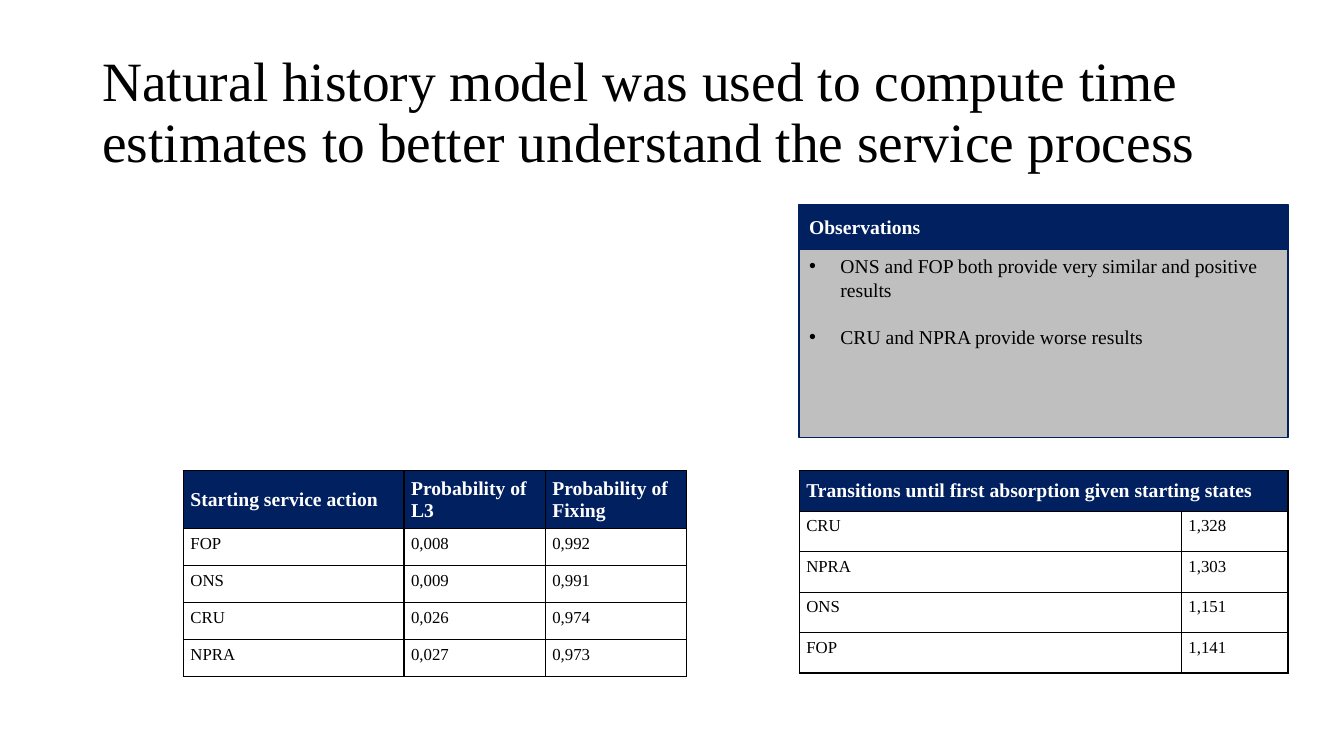
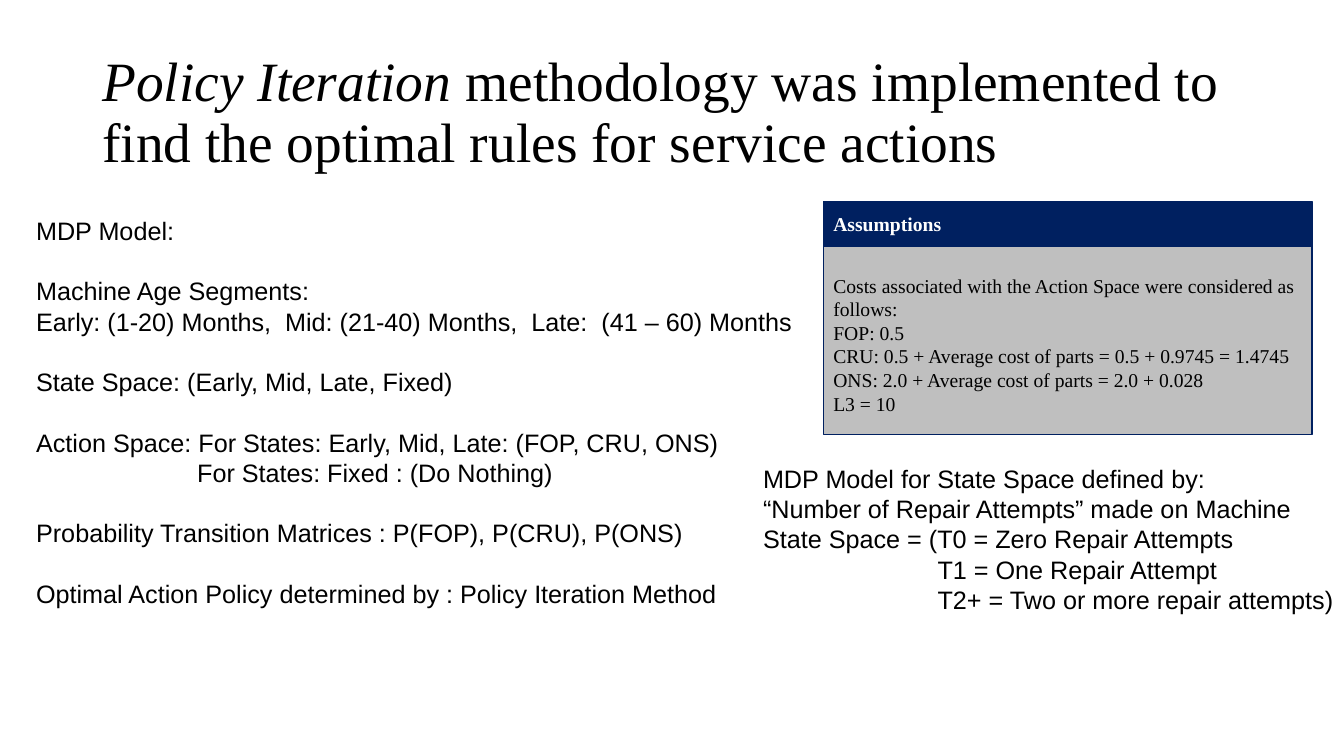
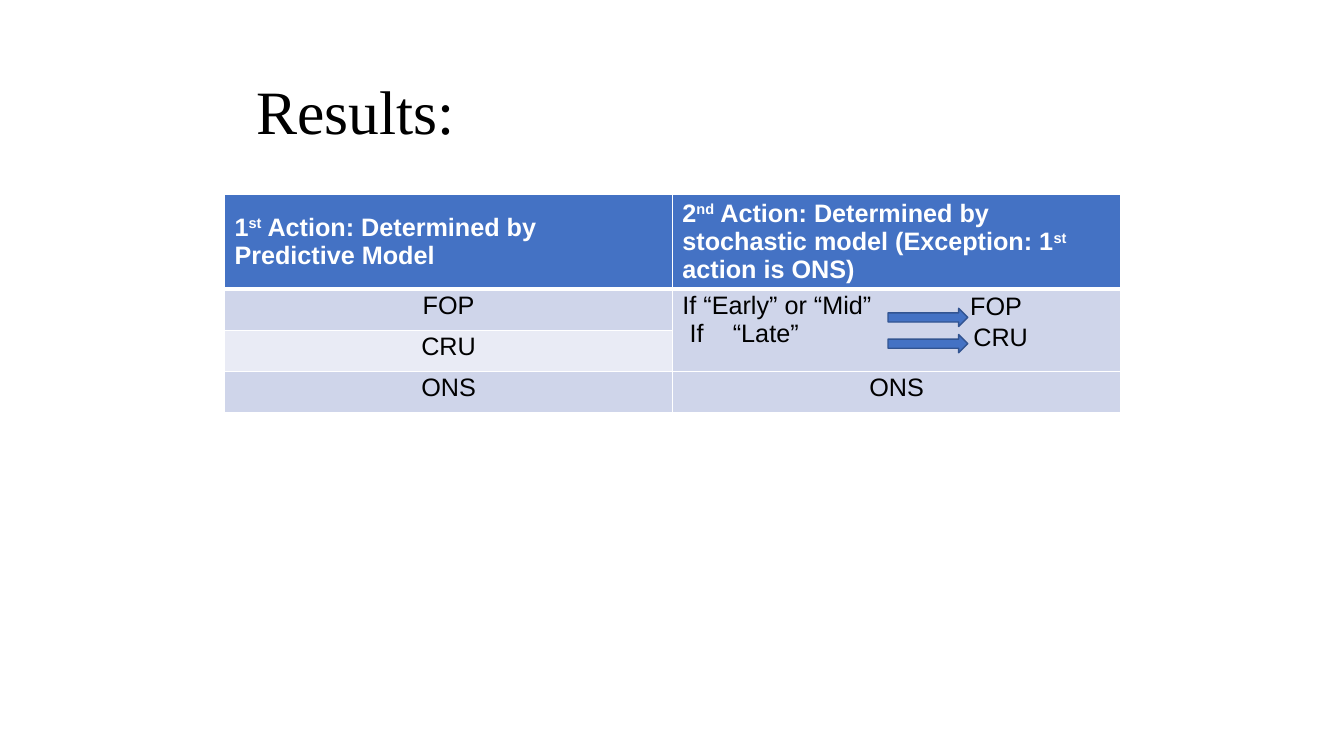
from dataclasses import dataclass, replace

from lxml import etree
from pptx import Presentation
from pptx import util as u
from pptx.dml import color
from pptx.enum import shapes, text
from pptx.oxml import ns

NAVY, GRAY, BLACK, WHITE = "002060", "BFBFBF", "000000", "FFFFFF"
BLUE, BLUE_EDGE, BAND, BAND_LIGHT = "4472C4", "325491", "CFD5EA", "E9EBF5"
LEFT, CENTER = text.PP_ALIGN.LEFT, text.PP_ALIGN.CENTER
TOP, MIDDLE = text.MSO_ANCHOR.TOP, text.MSO_ANCHOR.MIDDLE


@dataclass(frozen=True)
class Style:
    font: str
    size: float
    ink: str = BLACK
    bold: bool = False
    align: int = LEFT
    leading: float = 0


@dataclass(frozen=True)
class Line:
    spans: tuple
    gap: float = 0
    left: float = 0
    first: float = 0
    bullet: str = ""


TITLE = Style("Times New Roman", 39.6, leading=43.2)
RESULT_TITLE = replace(TITLE, size=44, leading=47.5)
PANEL_TEXT = Style("Times New Roman", 14, leading=16.8)
HEADING = Style("Times New Roman", 14, WHITE, True)
FIGURE = Style("Times New Roman", 12)
NOTE = Style("Arial", 18, leading=21.6)
RESULT_HEADING = Style("Arial", 18, WHITE, True)
RESULT = Style("Arial", 18, align=CENTER)
RULE = replace(RESULT, align=LEFT)


def rgb(value):
    return color.RGBColor.from_string(value)


def add_xml(parent, tag, **attributes):
    return etree.SubElement(parent, ns.qn(tag), attributes)


def line(content, **layout):
    spans = ((content, ""),) if isinstance(content, str) else tuple(content)
    return Line(spans, **layout)


def style_paragraph(para, item, style):
    para.alignment = style.align
    if style.leading:
        para.line_spacing = u.Pt(style.leading)
    para.space_before = u.Pt(item.gap)
    props = para._p.get_or_add_pPr()
    props.set("marL", str(u.Cm(item.left)))
    props.set("indent", str(u.Cm(item.first)))
    if item.bullet:
        add_xml(props, "a:buFont", typeface="Arial")
        add_xml(props, "a:buChar", char=item.bullet)


def write(frame, content, style):
    items = content if isinstance(content, list) else [content]
    for index, item in enumerate(items):
        if not isinstance(item, Line):
            item = line(item)
        para = frame.add_paragraph() if index else frame.paragraphs[0]
        for words, accent in item.spans:
            span = para.add_run()
            span.text = words
            span.font.name, span.font.size = style.font, u.Pt(style.size)
            span.font.color.rgb = rgb(style.ink)
            span.font.bold = style.bold
            if accent == "italic":
                span.font.italic = True
            if accent == "super":
                span._r.get_or_add_rPr().set("baseline", "30000")
        style_paragraph(para, item, style)


def add_text(page, left, top, width, height, content, style, anchor=TOP):
    box = page.shapes.add_textbox(*map(u.Cm, (left, top, width, height)))
    box.text_frame.word_wrap = True
    box.text_frame.vertical_anchor = anchor
    box.text_frame.margin_right = 0
    write(box.text_frame, content, style)


def add_title(page, content, style=TITLE):
    add_text(page, 2.33, 1.01, 29.21, 3.68, content, style, MIDDLE)


def add_block(parent, kind, left, top, width, height, fill, edge):
    block = parent.shapes.add_shape(kind, *map(u.Cm, (left, top, width, height)))
    block.shadow.inherit = False
    block.fill.solid()
    block.fill.fore_color.rgb = rgb(fill)
    block.line.color.rgb = rgb(edge)
    block.line.width = u.Pt(1)
    return block


def add_panel(page, left, top, heading, content, inset=0.13):
    width, head, body = 12.32, 1.12, 4.75
    panel = page.shapes.add_group_shape()
    parts = (
        (top + head, body, GRAY, content, PANEL_TEXT, TOP, inset),
        (top, head, NAVY, heading, HEADING, MIDDLE, 0.13),
    )
    for y, height, fill, words, style, anchor, margin in parts:
        block = add_block(panel, shapes.MSO_SHAPE.RECTANGLE, left, y, width, height, fill, NAVY)
        block.text_frame.word_wrap = True
        block.text_frame.vertical_anchor = anchor
        block.text_frame.margin_top = u.Cm(margin)
        write(block.text_frame, words, style)


def add_borders(cell, ink, bottom=1):
    props = cell._tc.get_or_add_tcPr()
    for side, width in (("L", 1), ("R", 1), ("T", 1), ("B", bottom)):
        edge = add_xml(props, f"a:ln{side}", w=str(u.Pt(width)))
        add_xml(add_xml(edge, "a:solidFill"), "a:srgbClr", val=ink)


def add_grid(page, left, top, columns, heights, rows, styles, fills, border,
             margins, rule=1, merge=None):
    size = map(u.Cm, (left, top, sum(columns), sum(heights)))
    grid = page.shapes.add_table(len(rows), len(columns), *size).table
    grid.horz_banding = False
    for column, width in zip(grid.columns, columns):
        column.width = u.Cm(width)
    for row, height in zip(grid.rows, heights):
        row.height = u.Cm(height)
    if merge:
        grid.cell(*merge[0]).merge(grid.cell(*merge[1]))
    for r, row in enumerate(rows):
        for c, content in enumerate(row):
            cell = grid.cell(r, c)
            add_borders(cell, border, 1 if r else rule)
            cell.fill.solid()
            cell.fill.fore_color.rgb = rgb(fills[r][c])
            cell.vertical_anchor = TOP if r else MIDDLE
            cell.margin_left = cell.margin_right = u.Cm(margins[0])
            cell.margin_top = cell.margin_bottom = u.Cm(margins[1])
            if content:
                style = RULE if isinstance(content, list) else styles[min(r, 1)]
                write(cell.text_frame, content, style)


def add_figures(page, left, columns, heights, rows, merge=None):
    fills = [[WHITE if r else NAVY] * len(columns) for r in range(len(rows))]
    add_grid(page, left, 11.86, columns, heights, rows, (HEADING, FIGURE), fills,
             BLACK, (0.18, 0.14), merge=merge)


def build_history(page):
    add_title(page, "Natural history model was used to compute time estimates "
                    "to better understand the service process")
    bullet = {"left": 0.79, "first": -0.79, "bullet": "•"}
    add_panel(page, 20.14, 5.16, "Observations", [
        line("ONS and FOP both provide very similar and positive results", **bullet),
        line("CRU and NPRA provide worse results", gap=16.8, **bullet),
    ])
    add_figures(page, 20.14, (9.63, 2.69), [1.02] * 5, [
        ("Transitions until first absorption given starting states", None),
        ("CRU", "1,328"),
        ("NPRA", "1,303"),
        ("ONS", "1,151"),
        ("FOP", "1,141"),
    ], merge=((0, 0), (0, 1)))
    add_figures(page, 4.62, (5.56, 3.56, 3.56), [1.43] + [0.93] * 4, [
        ("Starting service action", "Probability of L3", "Probability of Fixing"),
        ("FOP", "0,008", "0,992"),
        ("ONS", "0,009", "0,991"),
        ("CRU", "0,026", "0,974"),
        ("NPRA", "0,027", "0,973"),
    ])


def build_policy(page):
    add_title(page, line((
        ("Policy Iteration ", "italic"),
        ("methodology was implemented to find the optimal rules for service actions", ""),
    )))
    add_panel(page, 20.75, 5.08, "Assumptions", [
        "Costs associated with the Action Space were considered as follows:",
        "FOP: 0.5",
        "CRU: 0.5 + Average cost of parts = 0.5 + 0.9745 = 1.4745",
        "ONS: 2.0 + Average cost of parts = 2.0 + 0.028",
        "L3 = 10",
    ], inset=0.7)
    gap = NOTE.leading
    add_text(page, 0.66, 5.3, 19.76, 12.57, [
        "MDP Model:",
        line("Machine Age Segments:", gap=gap),
        "Early: (1-20) Months,  Mid: (21-40) Months,  Late:  (41 – 60) Months",
        line("State Space: (Early, Mid, Late, Fixed)", gap=gap),
        line("Action Space: For States: Early, Mid, Late: (FOP, CRU, ONS)", gap=gap),
        line("For States: Fixed : (Do Nothing)", left=4.06),
        line("Probability Transition Matrices : P(FOP), P(CRU), P(ONS)", gap=gap),
        line("Optimal Action Policy determined by : Policy Iteration Method", gap=gap),
    ], NOTE)
    add_text(page, 18.98, 11.55, 14.88, 4.88, [
        "MDP Model for State Space defined by:",
        "“Number of Repair Attempts” made on Machine",
        "State Space = (T0 = Zero Repair Attempts",
        line("T1 = One Repair Attempt", left=4.4),
        line("T2+ = Two or more repair attempts)", left=4.4),
    ], NOTE)


def build_results(page):
    first = line((("1", ""), ("st", "super"), (" Action: Determined by Predictive Model", "")))
    second = line((
        ("2", ""), ("nd", "super"),
        (" Action: Determined by stochastic model (Exception: 1", ""),
        ("st", "super"), (" action is ONS)", ""),
    ))
    conditions = ["If “Early” or “Mid”", line("If\t“Late”", first=0.18)]
    add_grid(page, 5.66, 4.9, (11.29, 11.29), [2.36] + [1.04] * 3, [
        (first, second),
        ("FOP", conditions),
        ("CRU", None),
        ("ONS", "ONS"),
    ], (RESULT_HEADING, RESULT),
        [(BLUE, BLUE), (BAND, BAND), (BAND_LIGHT, BAND), (BAND, BAND)],
        WHITE, (0.25, 0.05), rule=3, merge=((1, 1), (2, 1)))
    for top in (7.77, 8.43):
        add_block(page, shapes.MSO_SHAPE.RIGHT_ARROW, 22.38, top, 2.01, 0.46, BLUE, BLUE_EDGE)
    add_text(page, 24.2, 7.2, 2.5, 1.8, ["FOP", line("CRU", left=0.08)], RULE)
    add_title(page, line("Results:", left=3.88), RESULT_TITLE)


def main():
    deck = Presentation()
    deck.slide_width, deck.slide_height = u.Cm(33.87), u.Cm(19.05)
    for build in (build_history, build_policy, build_results):
        build(deck.slides.add_slide(deck.slide_layouts[6]))
    deck.save("out.pptx")


if __name__ == "__main__":
    main()
